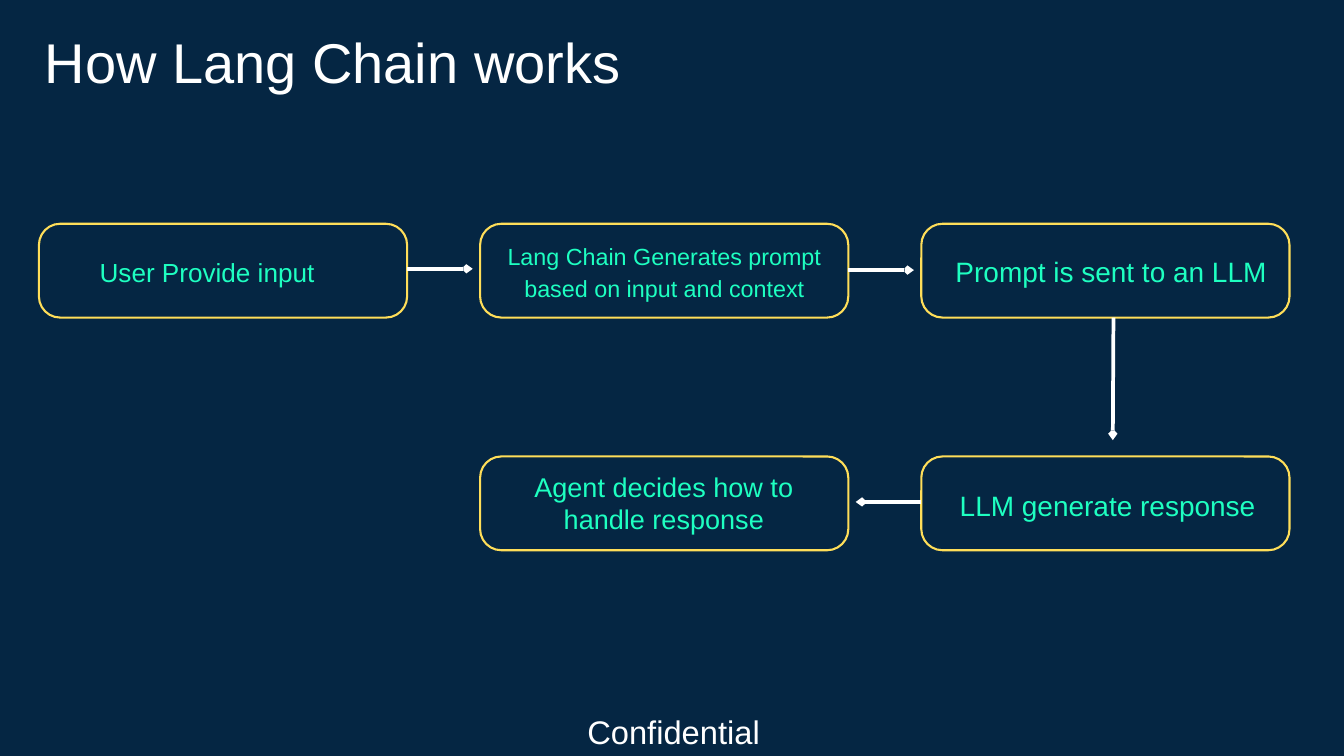
from lxml.etree import SubElement
from pptx import Presentation
from pptx.dml.color import RGBColor
from pptx.enum.shapes import MSO_CONNECTOR, MSO_SHAPE
from pptx.enum.text import PP_ALIGN
from pptx.oxml.ns import qn
from pptx.util import Pt

COLOURS = {"navy": "052643", "white": "FFFFFF", "mint": "1EFFC1", "yellow": "FFDE59"}
FONT = "Arial"

TITLE = (["How Lang Chain works"], (-45.4, 17.3, 803.5, 82), 60, 84)
FOOTER = (["Confidential"], (569.5, 755.3, 304.6, 49), 35, 49)

STEPS = [
    (0, 0, ["User Provide input"], (24.5, 269.3, 394.5, 38), 28, 39.2),
    (1, 0, ["Lang Chain Generates prompt", "based on input and context"],
     (523.4, 254.2, 376.6, 68), 25, 35),
    (2, 0, ["Prompt is sent to an LLM"], (1022.4, 266.4, 336.2, 40), 30, 42),
    (2, 1, ["LLM generate response"], (989.5, 517, 394.5, 40), 30, 42),
    (1, 1, ["Agent decides how to", "handle response"], (568.8, 504, 285.1, 70), 29, 34.8),
]

FIRST_LEFT, COLUMN_PITCH = 41.7, 472.7
FIRST_TOP, ROW_PITCH = 239.75, 249.3
STEP_WIDTH, STEP_HEIGHT, CORNER = 394.5, 100.5, 22.7
ARROW_LENGTH = 70.3
UPPER_ARROWS, LOWER_ARROW = (288, 289.4), 537.8


def colour(name):
    return RGBColor.from_string(COLOURS[name])


def add_text(page, lines, place, size, spacing, ink):
    box = page.shapes.add_textbox(*map(Pt, place))
    frame = box.text_frame
    frame.word_wrap = True
    frame.margin_left = frame.margin_right = frame.margin_top = frame.margin_bottom = 0
    for index, line in enumerate(lines):
        paragraph = frame.add_paragraph() if index else frame.paragraphs[0]
        paragraph.alignment = PP_ALIGN.CENTER
        paragraph.line_spacing = Pt(spacing)
        span = paragraph.add_run()
        span.text = line
        span.font.name = FONT
        span.font.size = Pt(size)
        span.font.color.rgb = colour(ink)


def add_step(page, column, row):
    left, top = FIRST_LEFT + column * COLUMN_PITCH, FIRST_TOP + row * ROW_PITCH
    shape = page.shapes.add_shape(
        MSO_SHAPE.ROUNDED_RECTANGLE, Pt(left), Pt(top), Pt(STEP_WIDTH), Pt(STEP_HEIGHT))
    shape.adjustments[0] = CORNER / STEP_HEIGHT
    shape.shadow.inherit = False
    shape.fill.background()
    shape.line.color.rgb = colour("yellow")
    shape.line.width = Pt(2.25)


def add_arrow(page, start, end):
    arrow = page.shapes.add_connector(MSO_CONNECTOR.STRAIGHT, *map(Pt, start + end))
    arrow.line.color.rgb = colour("white")
    arrow.line.width = Pt(4)
    SubElement(arrow.line._get_or_add_ln(), qn("a:tailEnd"), type="arrow", w="sm", len="sm")
    SubElement(arrow._element.spPr, qn("a:effectLst"))


def main():
    deck = Presentation()
    deck.slide_width, deck.slide_height = Pt(1440), Pt(810)
    page = deck.slides.add_slide(deck.slide_layouts[6])
    page.background.fill.solid()
    page.background.fill.fore_color.rgb = colour("navy")

    add_text(page, *TITLE, "white")
    for column, row, *label in STEPS:
        add_step(page, column, row)
        add_text(page, *label, "mint")

    for column, height in enumerate(UPPER_ARROWS):
        right = FIRST_LEFT + column * COLUMN_PITCH + STEP_WIDTH
        add_arrow(page, (right, height), (right + ARROW_LENGTH, height))
    last_left = FIRST_LEFT + 2 * COLUMN_PITCH
    add_arrow(page, (1193, FIRST_TOP + STEP_HEIGHT), (1192.3, 471.6))
    add_arrow(page, (last_left, LOWER_ARROW), (last_left - ARROW_LENGTH, LOWER_ARROW))

    add_text(page, *FOOTER, "white")
    deck.save("out.pptx")


if __name__ == "__main__":
    main()
